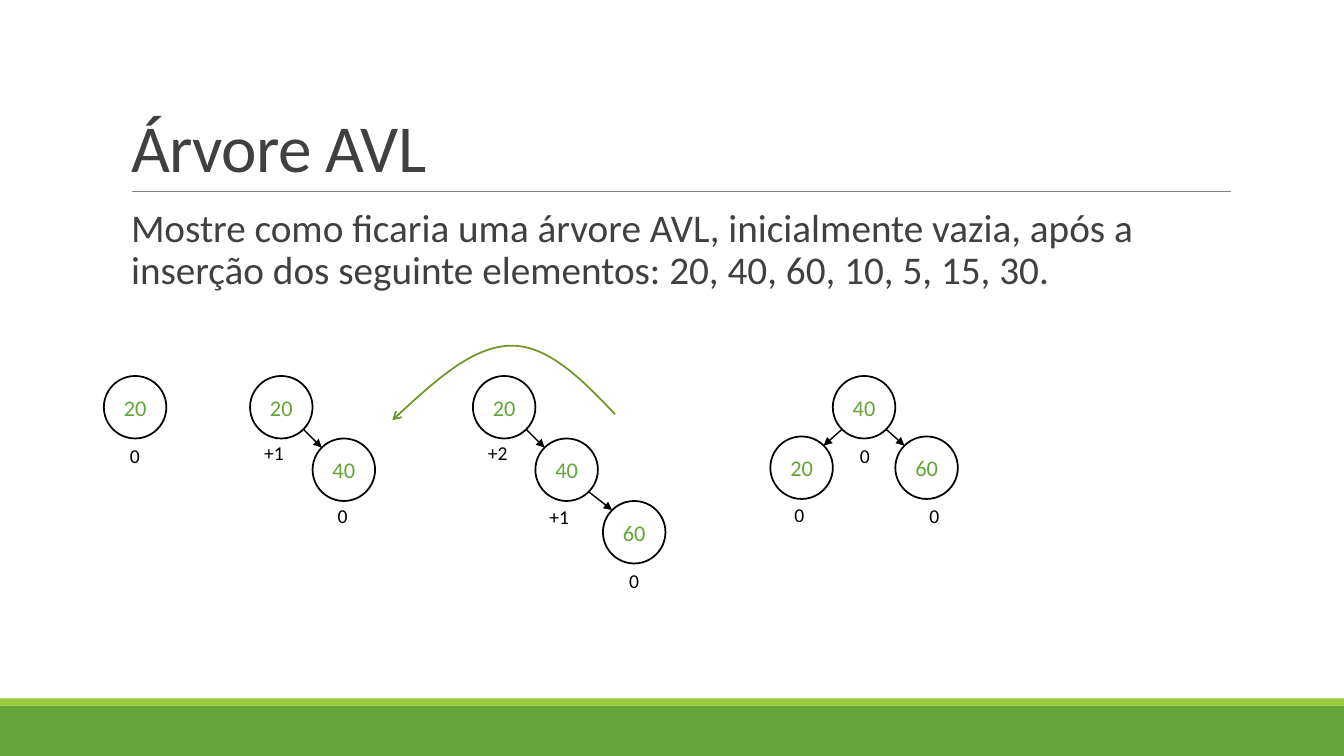
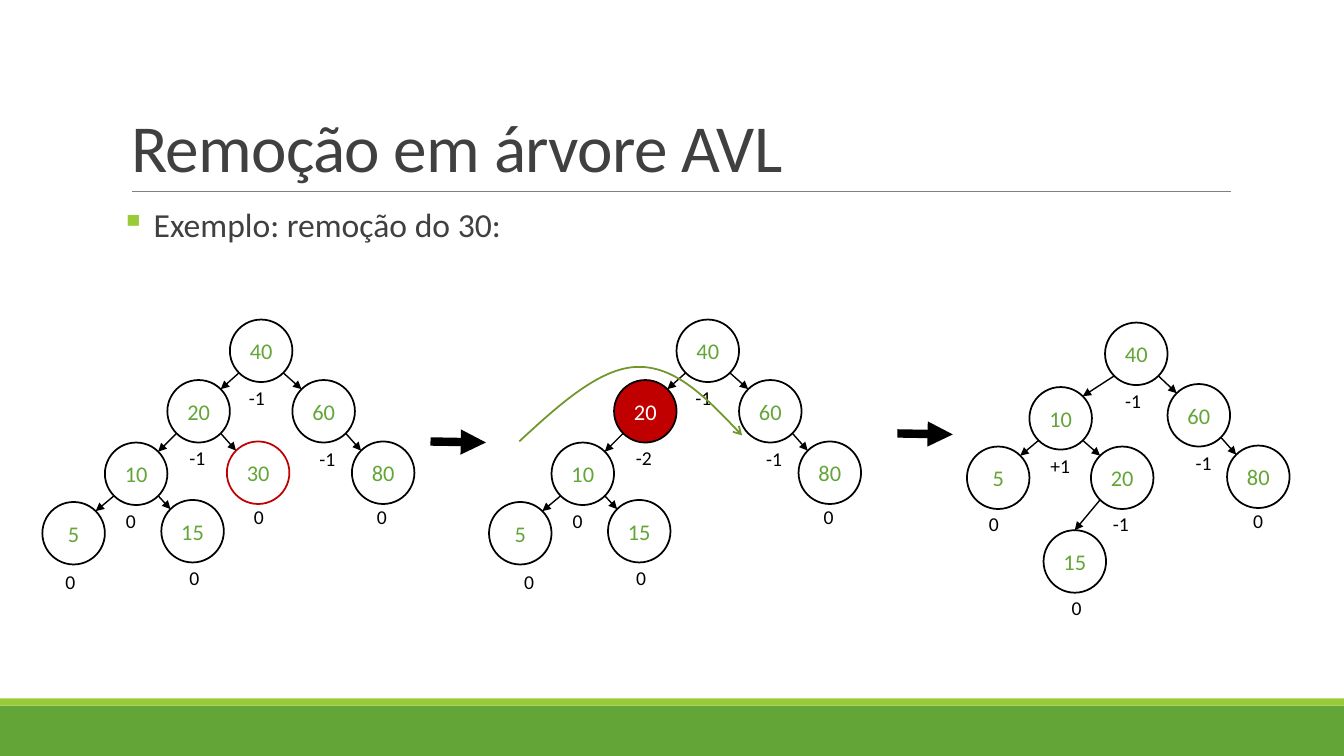
from dataclasses import dataclass, replace
from math import sqrt

from lxml.etree import SubElement
from pptx import Presentation
from pptx.dml.color import RGBColor
from pptx.enum.shapes import MSO_CONNECTOR, MSO_SHAPE
from pptx.enum.text import MSO_ANCHOR, MSO_AUTO_SIZE, PP_ALIGN
from pptx.oxml.ns import qn
from pptx.util import Inches, Pt

STRAIGHT = MSO_CONNECTOR.STRAIGHT
RECTANGLE, OVAL = MSO_SHAPE.RECTANGLE, MSO_SHAPE.OVAL
MIDDLE, BOTTOM = MSO_ANCHOR.MIDDLE, MSO_ANCHOR.BOTTOM
LEFT, CENTER = PP_ALIGN.LEFT, PP_ALIGN.CENTER
NO_FIT, GROW = MSO_AUTO_SIZE.NONE, MSO_AUTO_SIZE.SHAPE_TO_FIT_TEXT
TITLE_ONLY = 5


@dataclass(frozen=True)
class Theme:
    font: str = "Calibri"
    green: str = "63A537"
    lime: str = "99CB38"
    curve: str = "719629"
    ink: str = "404040"
    rule: str = "808080"
    black: str = "000000"
    white: str = "FFFFFF"
    red: str = "C00000"
    title_size: int = 48
    question_size: int = 28
    bullet_size: int = 24
    key_size: int = 16
    balance_size: int = 14


THEME = Theme()
DIAMETER = 0.62
LABEL_HEIGHT = 0.34
LABEL_WIDTHS = {"0": 0.31, "+": 0.41, "-": 0.36}
TOP_SITE, TOP_LEFT, BOTTOM_LEFT, BOTTOM_RIGHT, TOP_RIGHT = 0, 1, 3, 5, 7
DIAGONAL = 1 / sqrt(2)
SITE_DIRECTIONS = {
    TOP_SITE: (0, -1),
    TOP_LEFT: (-DIAGONAL, -DIAGONAL),
    BOTTOM_LEFT: (-DIAGONAL, DIAGONAL),
    BOTTOM_RIGHT: (DIAGONAL, DIAGONAL),
    TOP_RIGHT: (DIAGONAL, -DIAGONAL),
}
CURVE_POINTS = [(0, 0.74), (1.17, 0), (2.21, 0.68)]
CURVE_CONTROLS = [[(0.4, 0.37), (0.8, 0.01)], [(1.54, -0.01), (1.88, 0.33)]]


@dataclass(frozen=True)
class Node:
    key: str
    left: float
    top: float
    balance: str
    label_dx: float = 0.16
    label_dy: float = 0.62
    parent: str = ""
    outline: str = THEME.black
    fill: str = ""
    ink: str = THEME.green


INSERTIONS = [
    [Node("20", 1.03, 3.73, "0")],
    [
        Node("20", 2.48, 3.73, "+1", 0.04, 0.6),
        Node("40", 3.1, 4.35, "0", 0.15, 0.6, "20"),
    ],
    [
        Node("20", 4.69, 3.73, "+2", 0.05, 0.6),
        Node("40", 5.31, 4.35, "+1", 0.04, 0.61, "20"),
        Node("60", 5.98, 4.97, "0", parent="40"),
    ],
    [
        Node("40", 8.26, 3.73, "0", 0.17),
        Node("20", 7.64, 4.33, "0", 0.14, 0.61, "40"),
        Node("60", 8.88, 4.33, "0", 0.24, 0.62, "40"),
    ],
]
BEFORE_REMOVAL = [
    Node("40", 2.28, 3.17, "-1", 0.09, 0.61),
    Node("20", 1.66, 3.77, "-1", 0.12, 0.6, "40"),
    Node("60", 2.9, 3.77, "-1", 0.17, 0.61, "40"),
    Node("10", 1.04, 4.39, "0", 0.11, 0.61, "20"),
    Node("30", 2.25, 4.38, "0", 0.17, 0.58, "20", outline=THEME.red),
    Node("80", 3.49, 4.38, "0", 0.15, 0.58, "60"),
    Node("5", 0.42, 4.98, "0", 0.13, 0.62, "10"),
    Node("15", 1.6, 4.96, "0", 0.18, 0.61, "10"),
]
UNBALANCED_SHIFT = 4.43
UNBALANCED_CHANGES = {
    "20": {"balance": "-2", "fill": THEME.red, "ink": THEME.white},
    "5": {"label_dx": 0.25},
}
AFTER_ROTATION = [
    Node("40", 10.96, 3.2, "-1", 0.1, 0.61),
    Node("10", 10.21, 3.84, "+1", 0.11, 0.61, "40"),
    Node("60", 11.58, 3.81, "-1", 0.18, 0.61, "40"),
    Node("5", 9.59, 4.43, "0", 0.12, 0.6, "10"),
    Node("20", 10.82, 4.43, "-1", 0.12, 0.6, "10"),
    Node("80", 12.17, 4.42, "0", 0.16, 0.58, "60"),
    Node("15", 10.35, 5.26, "0", 0.18, 0.6, "20"),
]


def rgb(color):
    return RGBColor.from_string(color)


def add_run(paragraph, text, size, color):
    run = paragraph.add_run()
    run.text = text
    run.font.name = THEME.font
    run.font.size = Pt(size)
    run.font.color.rgb = rgb(color)
    return run


def set_line(shape, color, width, head="", tail=""):
    shape.line.color.rgb = rgb(color)
    shape.line.width = Pt(width)
    outline = shape._element.spPr.find(qn("a:ln"))
    for end, kind in (("a:headEnd", head), ("a:tailEnd", tail)):
        if kind:
            SubElement(outline, qn(end), type=kind)


def add_line(slide, start, end, color, width, tail=""):
    points = [Inches(value) for value in (*start, *end)]
    line = slide.shapes.add_connector(STRAIGHT, *points)
    set_line(line, color, width, tail=tail)
    SubElement(line._element.spPr, qn("a:effectLst"))
    return line


def add_band(slide, top, height, color):
    band = slide.shapes.add_shape(
        RECTANGLE, 0, Inches(top), Inches(13.33), Inches(height)
    )
    band.shadow.inherit = False
    band.fill.solid()
    band.fill.fore_color.rgb = rgb(color)
    band.line.fill.background()


def add_title(slide, text):
    title = slide.shapes.title
    title.left, title.top = Inches(1.2), Inches(0.31)
    title.width, title.height = Inches(11), Inches(1.59)
    frame = title.text_frame
    frame.auto_size = NO_FIT
    frame.vertical_anchor = BOTTOM
    paragraph = frame.paragraphs[0]
    paragraph.alignment = LEFT
    paragraph.line_spacing = 0.85
    run = add_run(paragraph, text, THEME.title_size, THEME.ink)
    run.font._element.set("spc", "-50")


def add_slide(deck, title):
    slide = deck.slides.add_slide(deck.slide_layouts[TITLE_ONLY])
    add_band(slide, 7, 0.5, THEME.green)
    add_band(slide, 6.93, 0.07, THEME.lime)
    add_line(slide, (1.31, 1.9), (12.21, 1.9), THEME.rule, 0.5)
    add_title(slide, title)
    return slide


def add_body(slide, text, size, bullet=""):
    box = slide.shapes.add_textbox(Inches(1.2), Inches(2.02), Inches(11), Inches(1.1))
    frame = box.text_frame
    frame.word_wrap = True
    frame.margin_left = frame.margin_right = 0
    paragraph = frame.paragraphs[0]
    paragraph.line_spacing = 0.9
    paragraph.space_before, paragraph.space_after = Pt(12), Pt(2)
    properties = paragraph._p.get_or_add_pPr()
    properties.set("marL", str(Inches(0.1)))
    if bullet:
        properties.set("indent", str(-Inches(0.1)))
        bullet_color = SubElement(properties, qn("a:buClr"))
        SubElement(bullet_color, qn("a:srgbClr"), val=THEME.lime)
        SubElement(properties, qn("a:buChar"), char=bullet)
    add_run(paragraph, text, size, THEME.ink)


def add_circle(slide, node):
    circle = slide.shapes.add_shape(
        OVAL, Inches(node.left), Inches(node.top), Inches(DIAMETER), Inches(DIAMETER)
    )
    circle.shadow.inherit = False
    if node.fill:
        circle.fill.solid()
        circle.fill.fore_color.rgb = rgb(node.fill)
    else:
        circle.fill.background()
    set_line(circle, node.outline, 1.25)
    frame = circle.text_frame
    frame.margin_left = frame.margin_right = 0
    frame.vertical_anchor = MIDDLE
    paragraph = frame.paragraphs[0]
    paragraph.alignment = CENTER
    add_run(paragraph, node.key, THEME.key_size, node.ink)
    return circle


def add_balance(slide, node):
    label = slide.shapes.add_textbox(
        Inches(node.left + node.label_dx),
        Inches(node.top + node.label_dy),
        Inches(LABEL_WIDTHS[node.balance[0]]),
        Inches(LABEL_HEIGHT),
    )
    frame = label.text_frame
    frame.word_wrap = False
    frame.auto_size = GROW
    add_run(frame.paragraphs[0], node.balance, THEME.balance_size, THEME.black)


def site_point(node, site):
    radius = DIAMETER / 2
    dx, dy = SITE_DIRECTIONS[site]
    return node.left + radius * (1 + dx), node.top + radius * (1 + dy)


def add_edge(slide, parent, child, circles):
    across, down = child.left - parent.left, child.top - parent.top
    exit_site, entry_site = (
        (BOTTOM_LEFT, TOP_RIGHT) if across < 0 else (BOTTOM_RIGHT, TOP_LEFT)
    )
    if down > 1.5 * abs(across):
        entry_site = TOP_SITE
    edge = add_line(
        slide,
        site_point(parent, exit_site),
        site_point(child, entry_site),
        THEME.black,
        1,
        "triangle",
    )
    glue = edge._element.find(".//" + qn("p:cNvCxnSpPr"))
    for tag, node, site in (
        ("a:stCxn", parent, exit_site),
        ("a:endCxn", child, entry_site),
    ):
        shape_id = circles[node.key].shape_id
        SubElement(glue, qn(tag), id=str(shape_id), idx=str(site))


def add_tree(slide, nodes):
    by_key = {node.key: node for node in nodes}
    circles = {node.key: add_circle(slide, node) for node in nodes}
    for node in nodes:
        if node.parent:
            add_edge(slide, by_key[node.parent], node, circles)
        add_balance(slide, node)


def add_rotation_curve(slide, left, top, head="", tail=""):
    start, *others = [(Inches(left + x), Inches(top + y)) for x, y in CURVE_POINTS]
    builder = slide.shapes.build_freeform(*start)
    builder.add_line_segments(others, close=False)
    curve = builder.convert_to_shape()
    curve.shadow.inherit = False
    curve.fill.background()
    segments = list(curve._element.iter(qn("a:lnTo")))
    for segment, controls in zip(segments, CURVE_CONTROLS):
        segment.tag = qn("a:cubicBezTo")
        for index, (x, y) in enumerate(controls):
            control = SubElement(
                segment, qn("a:pt"), x=str(Inches(x)), y=str(Inches(y))
            )
            segment.insert(index, control)
    set_line(curve, THEME.curve, 1.25, head, tail)


def main():
    deck = Presentation()
    deck.slide_width, deck.slide_height = Inches(13.33), Inches(7.5)

    insertion = add_slide(deck, "Árvore AVL")
    question = (
        "Mostre como ficaria uma árvore AVL, inicialmente vazia, após a "
        "inserção dos seguinte elementos: 20, 40, 60, 10, 5, 15, 30."
    )
    add_body(insertion, question, THEME.question_size)
    for tree in INSERTIONS:
        add_tree(insertion, tree)
    add_rotation_curve(insertion, 3.89, 3.43, head="arrow")

    removal = add_slide(deck, "Remoção em árvore AVL")
    add_body(removal, " Exemplo: remoção do 30:", THEME.bullet_size, "▪")
    unbalanced = [
        replace(node, left=node.left + UNBALANCED_SHIFT, **UNBALANCED_CHANGES.get(node.key, {}))
        for node in BEFORE_REMOVAL
        if node.key != "30"
    ]
    for tree in (BEFORE_REMOVAL, unbalanced, AFTER_ROTATION):
        add_tree(removal, tree)
    for left, top in ((4.27, 4.38), (8.9, 4.3)):
        add_line(removal, (left, top), (left + 0.55, top + 0.01), THEME.black, 6, "triangle")
    add_rotation_curve(removal, 5.15, 3.64, tail="arrow")

    deck.save("out.pptx")


if __name__ == "__main__":
    main()
